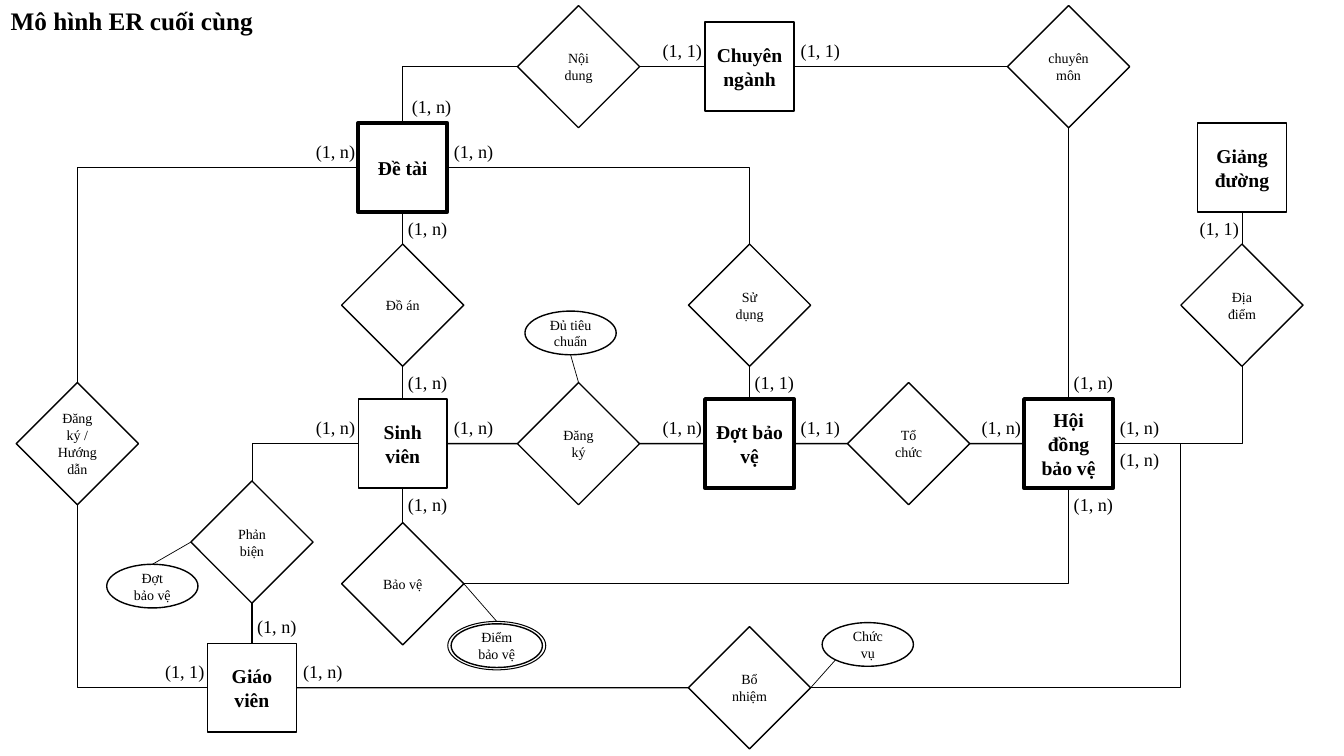
"""Build the final entity-relationship diagram of the thesis defence system."""
import pptx
import pptx.dml.color
import pptx.enum.shapes
import pptx.enum.text
import pptx.oxml.ns
import pptx.util
from lxml import etree

Cm = pptx.util.Cm
Kind = pptx.enum.shapes.MSO_SHAPE
ENTITY, DIAMOND, OVAL, LABEL = 2.24, 3.08, (2.3, 1.1), (1.56, 0.81)
HALF = ENTITY / 2
SITES = {"top": (0, -1), "bottom": (0, 1), "left": (-1, 0), "right": (1, 0),
         "bottom left": (-0.71, 0.71)}
LABEL_OFFSETS = {
    "top": (-0.12, -HALF - 0.83), "bottom": (-0.12, HALF),
    "left": (-HALF - 1.32, -0.81), "right": (HALF - 0.08, -0.81),
    "lower right": (HALF - 0.08, 0), "bottom left": (-1.32, HALF)}


class Diagram:
    """Holds the style and the current slide."""
    colors = {"ink": "000000", "paper": "FFFFFF"}
    font = "Times New Roman"

    def __init__(self, slide):
        self.slide = slide

    def color(self, name):
        return pptx.dml.color.RGBColor.from_string(self.colors[name])

    def add_run(self, frame, text, size, bold=False):
        run = frame.paragraphs[0].add_run()
        run.text = text
        run.font.name, run.font.size, run.font.bold = self.font, pptx.util.Pt(size), bold
        run.font.color.rgb = self.color("ink")

    def outline(self, kind, center, size, width, filled=True):
        (x, y), (w, h) = center, size
        shape = self.slide.shapes.add_shape(kind, Cm(x - w / 2), Cm(y - h / 2), Cm(w), Cm(h))
        shape.shadow.inherit = False
        if filled:
            shape.fill.solid()
            shape.fill.fore_color.rgb = self.color("paper")
        else:
            shape.fill.background()
        shape.line.color.rgb = self.color("ink")
        shape.line.width = pptx.util.Pt(width)
        return shape

    def node(self, kind, text, center, size, font_size, bold=False, width=1):
        shape = self.outline(kind, center, size, width)
        frame = shape.text_frame
        frame.word_wrap = True
        frame.vertical_anchor = pptx.enum.text.MSO_ANCHOR.MIDDLE
        frame.paragraphs[0].alignment = pptx.enum.text.PP_ALIGN.CENTER
        self.add_run(frame, text, font_size, bold)
        return shape

    def entity(self, text, x, y, width=1):
        return self.node(Kind.RECTANGLE, text, (x, y), (ENTITY, ENTITY), 14, True, width)

    def relationship(self, text, x, y):
        return self.node(Kind.DIAMOND, text, (x, y), (DIAMOND, DIAMOND), 10)

    def attribute(self, text, x, y):
        return self.node(Kind.OVAL, text, (x, y), OVAL, 10)

    def text(self, text, x, y, size, font_size, bold=False, wrap=True):
        box = self.slide.shapes.add_textbox(Cm(x), Cm(y), Cm(size[0]), Cm(size[1]))
        box.text_frame.word_wrap = wrap
        self.add_run(box.text_frame, text, font_size, bold)

    def cardinality(self, entity, side, most="n", shift=0):
        dx, dy = LABEL_OFFSETS[side]
        x, y = self.site(entity, (0, 0))
        self.text(f"(1, {most})", pptx.util.Emu(x).cm + dx + shift,
                  pptx.util.Emu(y).cm + dy, LABEL, 13)

    def site(self, shape, direction):
        return (int(shape.left + shape.width * (1 + direction[0]) / 2),
                int(shape.top + shape.height * (1 + direction[1]) / 2))

    def link(self, first, first_side, last, last_side, width=0.5, bend=None, adjust=None):
        kinds = pptx.enum.shapes.MSO_CONNECTOR
        line = self.slide.shapes.add_connector(
            kinds.ELBOW if bend else kinds.STRAIGHT,
            *self.site(first, SITES[first_side]), *self.site(last, SITES[last_side]))
        line.line.color.rgb = self.color("ink")
        line.line.width = pptx.util.Pt(width)
        qn = pptx.oxml.ns.qn
        properties = line._element.spPr
        etree.SubElement(properties, qn("a:effectLst"))
        if bend:
            geometry = properties.find(qn("a:prstGeom"))
            geometry.set("prst", bend)
            if adjust:
                guide = etree.SubElement(geometry.find(qn("a:avLst")), qn("a:gd"))
                guide.set("name", "adj1")
                guide.set("fmla", f"val {adjust}")


presentation = pptx.Presentation()
presentation.slide_width, presentation.slide_height = Cm(33.87), Cm(19.05)
diagram = Diagram(presentation.slides.add_slide(presentation.slide_layouts[6]))

STUDENT_X, PERIOD_X, BOARD_X, HALL_X, TEACHER_X, REGISTER_X = 10.15, 18.89, 26.93, 31.3, 6.35, 14.58
MAJOR_Y, TOPIC_Y, UPPER_Y, MIDDLE_Y, TEACHER_Y = 1.68, 4.22, 7.69, 11.18, 17.33

topic = diagram.entity("Đề tài", STUDENT_X, TOPIC_Y, 3)
student = diagram.entity("Sinh viên", STUDENT_X, MIDDLE_Y)
teacher = diagram.entity("Giáo viên", TEACHER_X, TEACHER_Y)
major = diagram.entity("Chuyên ngành", PERIOD_X, MAJOR_Y)
period = diagram.entity("Đợt bảo vệ", PERIOD_X, MIDDLE_Y, 3)
board = diagram.entity("Hội đồng bảo vệ", BOARD_X, MIDDLE_Y, 3)
hall = diagram.entity("Giảng đường", HALL_X, TOPIC_Y)

content = diagram.relationship("Nội dung", REGISTER_X, MAJOR_Y)
expertise = diagram.relationship("chuyên môn", BOARD_X, MAJOR_Y)
project = diagram.relationship("Đồ án", STUDENT_X, UPPER_Y)
usage = diagram.relationship("Sử dụng", PERIOD_X, UPPER_Y)
place = diagram.relationship("Địa điểm", HALL_X, UPPER_Y)
guidance = diagram.relationship("Đăng ký / Hướng dẫn", 1.95, MIDDLE_Y)
register = diagram.relationship("Đăng ký", REGISTER_X, MIDDLE_Y)
organise = diagram.relationship("Tổ chức", 22.9, MIDDLE_Y)
review = diagram.relationship("Phản biện", TEACHER_X, 13.66)
defence = diagram.relationship("Bảo vệ", STUDENT_X, 14.71)
appoint = diagram.relationship("Bổ nhiệm", PERIOD_X, TEACHER_Y)

review_period = diagram.attribute("Đợt bảo vệ", 3.84, 14.77)
diagram.attribute("Điểm bảo vệ", 12.52, 16.27)
score_ring = diagram.outline(Kind.OVAL, (12.52, 16.27), (2.47, 1.22), 0.75, False)
position = diagram.attribute("Chức vụ", 21.87, 16.24)
standard = diagram.attribute("Đủ tiêu chuẩn", 14.38, 8.39)

for link in [
        (project, "top", topic, "bottom"), (student, "top", project, "bottom"),
        (major, "left", content, "right"), (major, "right", expertise, "left"),
        (board, "top", expertise, "bottom"), (place, "top", hall, "bottom"),
        (review, "left", review_period, "top"), (defence, "right", score_ring, "top"),
        (appoint, "right", position, "bottom left"), (register, "top", standard, "bottom"),
        (teacher, "top", review, "bottom", 1), (period, "top", usage, "bottom", 1),
        (student, "bottom", defence, "top", 1), (organise, "right", board, "left", 1),
        (teacher, "right", appoint, "left", 1), (student, "right", register, "left", 1),
        (period, "right", organise, "left", 1), (register, "right", period, "left", 1)]:
    diagram.link(*link)

for corner in [
        (student, "left", review, "top"), (content, "left", topic, "top"),
        (topic, "left", guidance, "top"), (teacher, "left", guidance, "bottom"),
        (defence, "right", board, "bottom"), (topic, "right", usage, "top"),
        (board, "right", place, "bottom")]:
    diagram.link(*corner, bend="bentConnector2")
diagram.link(appoint, "right", board, "right", bend="bentConnector3", adjust=122300)

for entity, sides in [
        (topic, ["left", "right", "bottom"]), (student, ["top", "left", "right", "bottom"]),
        (teacher, ["top", "right"]), (period, ["left"]),
        (board, ["top", "left", "right", "lower right", "bottom"])]:
    for side in sides:
        diagram.cardinality(entity, side)
diagram.cardinality(topic, "top", shift=0.1)
for entity, side in [(major, "left"), (major, "right"), (period, "top"), (period, "right"),
                     (hall, "bottom left"), (teacher, "left")]:
    diagram.cardinality(entity, side, "1")

diagram.text("Mô hình ER cuối cùng", 0.02, 0, (6.68, 1.02), 18, True, False)
presentation.save("out.pptx")
